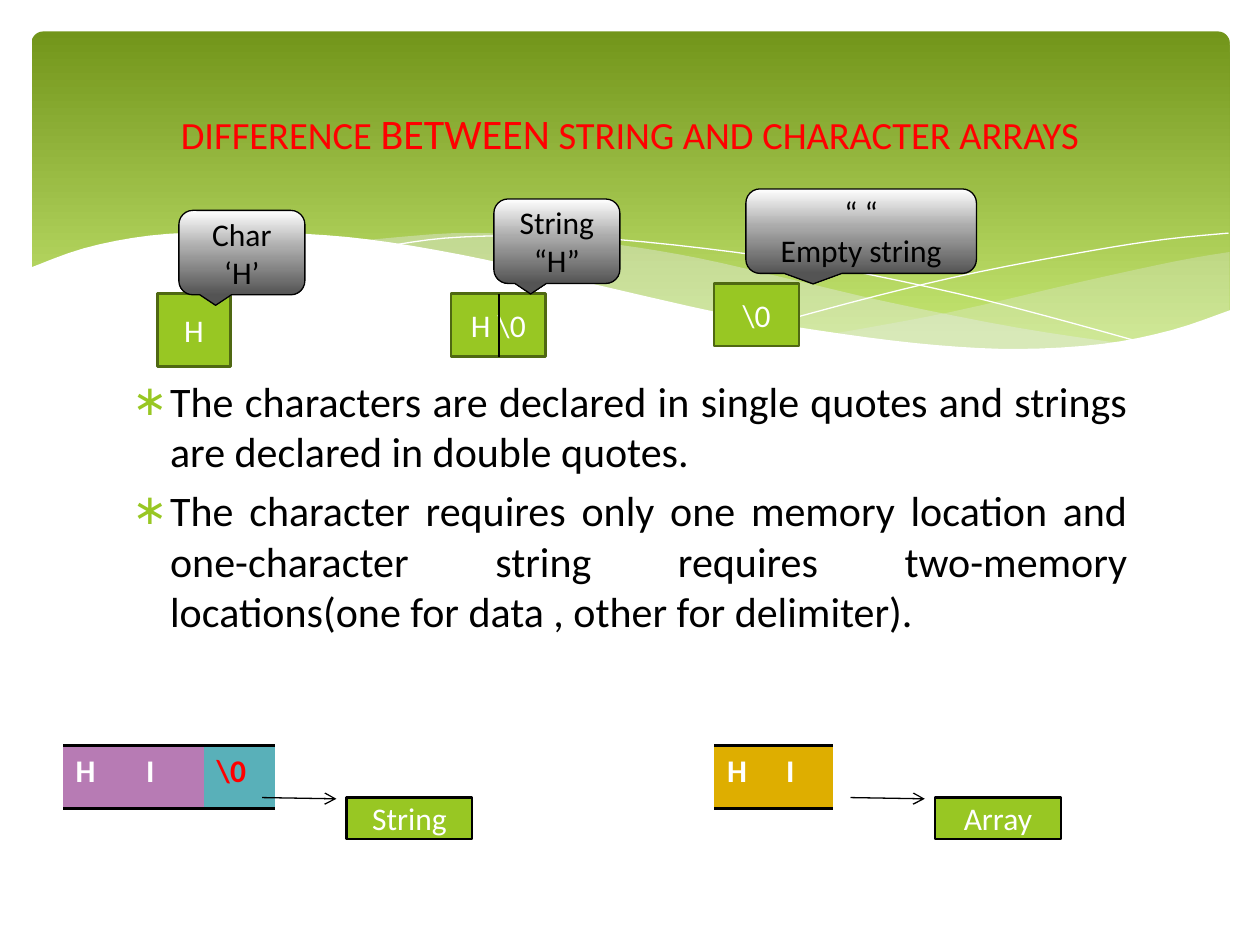
from lxml.etree import SubElement
from pptx import Presentation
from pptx.dml.color import RGBColor
from pptx.enum.shapes import MSO_CONNECTOR, MSO_SHAPE
from pptx.enum.text import MSO_ANCHOR, MSO_AUTO_SIZE, PP_ALIGN
from pptx.oxml import parse_xml
from pptx.oxml.ns import nsdecls, qn
from pptx.util import Inches, Pt

FONT = "Calibri"
BLACK = RGBColor(0x00, 0x00, 0x00)
WHITE = RGBColor(0xFF, 0xFF, 0xFF)
RED = RGBColor(0xFF, 0x00, 0x00)
GREEN = RGBColor(0x98, 0xC7, 0x23)
DARK_GREEN = RGBColor(0x4F, 0x68, 0x12)
MIST = RGBColor(0xE7, 0xEC, 0xED)
PURPLE = RGBColor(0xB7, 0x7B, 0xB4)
TEAL = RGBColor(0x59, 0xB0, 0xB9)
GOLD = RGBColor(0xDE, 0xAE, 0x00)
BANNER_STOPS = [(0, RGBColor(0x72, 0x95, 0x1A)), (90, RGBColor(0xC5, 0xE6, 0x72))]
CALLOUT_STOPS = [(0, WHITE), (44, RGBColor(0xAB, 0xAB, 0xAB)),
                 (100, RGBColor(0x54, 0x54, 0x54))]
PLAIN_TABLE = "{2D5ABB26-0587-4C30-8999-92F81FD0307C}"

# Waves: each is a chain of smooth curves, fill, opacity in percent
WAVES = [
    ([[(9.76, 2), (9.35, 2.07), (8.61, 2.23), (7.53, 2.48), (6.61, 2.65)],
      [(6.61, 2.65), (7.19, 2.72), (7.69, 2.77), (8.24, 2.77), (8.81, 2.73),
       (9.28, 2.63), (9.76, 2.47)]], MIST, 29),
    ([[(8.93, 2.73), (8.07, 2.6), (7.06, 2.4), (6.29, 2.22), (5.55, 2.05),
       (4.89, 1.94), (4.2, 1.87), (3.61, 1.85), (2.86, 1.91)],
      [(2.86, 1.91), (3.62, 2.03), (4.49, 2.22), (5.3, 2.4), (6.18, 2.58),
       (6.95, 2.7), (7.61, 2.77), (8.28, 2.78), (8.93, 2.73)]], MIST, 40),
    ([[(3.09, 1.95), (3.53, 1.89), (4.16, 1.87), (4.89, 1.9), (5.82, 2),
       (6.65, 2.13), (7.6, 2.33), (8.31, 2.51), (9.07, 2.72)]], None, 100),
    ([[(6.13, 2.57), (6.95, 2.35), (7.76, 2.16), (8.66, 1.99), (9.24, 1.9),
       (9.75, 1.85)]], None, 100),
    ([[(9.77, 2.46), (9.3, 2.62), (8.75, 2.73), (8.09, 2.77), (7.44, 2.74),
       (6.68, 2.65), (5.79, 2.5), (4.47, 2.2), (3.65, 2.02), (2.92, 1.9),
       (2.3, 1.85), (1.77, 1.84), (1.19, 1.87), (0.67, 1.97), (0.23, 2.13)],
      [(0.23, 3.29), (9.77, 3.29)]], WHITE, 100),
]


def box(*lengths):
    return [Inches(v) for v in lengths]


def add_text(tf, text, first=True, align=PP_ALIGN.CENTER, size=18, color=WHITE, bold=False):
    """Write one paragraph; text is a string or a list of (string, size)."""
    p = tf.paragraphs[0] if first else tf.add_paragraph()
    p.alignment = align
    for part, part_size in [(text, size)] if isinstance(text, str) else text:
        r = p.add_run()
        r.text = part
        r.font.name, r.font.size, r.font.bold = FONT, Pt(part_size), bold
        r.font.color.rgb = color
    return p


def set_gradient(sp, stops):
    sp.fill.gradient()
    sp.fill.gradient_angle = 270
    gs_lst = sp.fill._fill._gradFill.find(qn("a:gsLst"))
    for old in list(gs_lst):
        gs_lst.remove(old)
    for pos, color in stops:
        gs = SubElement(gs_lst, qn("a:gs"), pos=str(pos * 1000))
        SubElement(gs, qn("a:srgbClr"), val=str(color))


def smooth(points):
    """Catmull-Rom curve through the points."""
    ext = [points[0], *points, points[-1]]
    out = [points[0]]
    for a, b, c, d in zip(ext, ext[1:], ext[2:], ext[3:]):
        for t in (0.25, 0.5, 0.75, 1):
            out.append(tuple(
                0.5 * (2 * q + (s - o) * t + (2 * o - 5 * q + 4 * s - u) * t ** 2
                       + (3 * q - o - 3 * s + u) * t ** 3)
                for o, q, s, u in zip(a, b, c, d)))
    return out


def add_wave(s, curves, color, opacity):
    pts = [tuple(box(*pt)) for curve in curves for pt in smooth(curve)]
    builder = s.shapes.build_freeform(*pts[0], scale=1.0)
    builder.add_line_segments(pts[1:], close=color is not None)
    sp = builder.convert_to_shape()
    sp.shadow.inherit = False
    if color is None:
        sp.fill.background()
        sp.line.color.rgb = WHITE
        sp.line.width = 0
        return
    sp.fill.solid()
    sp.fill.fore_color.rgb = color
    sp.line.fill.background()
    if opacity < 100:
        clr = sp._element.spPr.find(qn("a:solidFill"))[0]
        SubElement(clr, qn("a:alpha"), val=str(opacity * 1000))


def add_box(s, kind, at, texts=(), fill=GREEN, line=None, width=1.25, color=WHITE):
    """Preset shape; fill is a colour or a list of gradient stops."""
    sp = s.shapes.add_shape(kind, *box(*at))
    sp.shadow.inherit = False
    if isinstance(fill, list):
        set_gradient(sp, fill)
    else:
        sp.fill.solid()
        sp.fill.fore_color.rgb = fill
    if line is None:
        sp.line.fill.background()
    else:
        sp.line.color.rgb = line
        sp.line.width = Pt(width)
    tf = sp.text_frame
    tf.vertical_anchor = MSO_ANCHOR.MIDDLE
    for i, text in enumerate(texts):
        add_text(tf, text, first=i == 0, color=color)
    return sp


def add_line(s, start, end, arrow=False):
    c = s.shapes.add_connector(MSO_CONNECTOR.STRAIGHT, *box(*start, *end))
    c.line.color.rgb = BLACK
    c.line.width = Pt(0.75)
    if arrow:
        SubElement(c.line._get_or_add_ln(), qn("a:tailEnd"), type="arrow")
    SubElement(c._element.spPr, qn("a:effectLst"))


def add_cells(s, left, width, cells):
    """One-row table of (text, fill, text colour), ruled above and below."""
    n = len(cells)
    table = s.shapes.add_table(1, n, *box(left, 5.92, width * n, 0.5)).table
    table.first_row = table.horz_banding = False
    table._tbl.tblPr.find(qn("a:tableStyleId")).text = PLAIN_TABLE
    for i, (text, fill, color) in enumerate(cells):
        table.columns[i].width = Inches(width)
        cell = table.cell(0, i)
        cell.fill.solid()
        cell.fill.fore_color.rgb = fill
        add_text(cell.text_frame, text, align=PP_ALIGN.LEFT, color=color, bold=True)
        for k, side in enumerate(("lnT", "lnB")):
            cell._tc.get_or_add_tcPr().insert(k, parse_xml(
                f'<a:{side} {nsdecls("a")} w="{Pt(2)}"><a:solidFill>'
                f'<a:srgbClr val="{BLACK}"/></a:solidFill></a:{side}>'))


def place(s, ph, at, anchor):
    """Bring a placeholder to the front and set its frame."""
    s.shapes._spTree.append(ph._element)
    ph.left, ph.top, ph.width, ph.height = box(*at)
    tf = ph.text_frame
    tf.word_wrap = True
    tf.auto_size = MSO_AUTO_SIZE.NONE
    tf.vertical_anchor = anchor
    return tf


def add_bullet(tf, text, first):
    p = add_text(tf, text, first=first, align=PP_ALIGN.JUSTIFY, size=24, color=BLACK)
    pPr = p._p.get_or_add_pPr()
    pPr.set("marL", str(Inches(0.3)))
    pPr.set("indent", str(-Inches(0.3)))
    SubElement(SubElement(pPr, qn("a:buClr")), qn("a:srgbClr"), val=str(GREEN))
    SubElement(pPr, qn("a:buFont"), typeface=FONT)
    SubElement(pPr, qn("a:buChar"), char="\u2217")


def main():
    prs = Presentation()
    prs.slide_width, prs.slide_height = box(10, 7.5)
    s = prs.slides.add_slide(prs.slide_layouts[1])
    title, body = s.placeholders[0], s.placeholders[1]

    # Banner and waves
    banner = add_box(s, MSO_SHAPE.ROUNDED_RECTANGLE, (0.25, 0.25, 9.51, 2.7), fill=BANNER_STOPS)
    banner.adjustments[0] = 0.034
    for wave in WAVES:
        add_wave(s, *wave)

    # Explanation and title
    tf = place(s, body, (0.95, 2.93, 8.1, 2.82), MSO_ANCHOR.TOP)
    add_bullet(tf, "The characters are declared in single quotes and strings "
                   "are declared in double quotes.", True)
    add_bullet(tf, "The character requires only one memory location and one-character string "
                   "requires two-memory locations(one for data , other for delimiter).", False)
    tf = place(s, title, (0.5, 0.37, 9, 1.37), MSO_ANCHOR.MIDDLE)
    add_text(tf, [("DIFFERENCE ", 22), ("BETWEEN", 24),
                  (" STRING AND CHARACTER ARRAYS", 22)], color=RED)

    # Memory cells and their callouts
    for at, text in [((1.25, 2.33, 0.58, 0.58), "H"), ((3.58, 2.33, 0.75, 0.5), "H \\0"),
                     ((5.67, 2.25, 0.67, 0.5), "\\0")]:
        add_box(s, MSO_SHAPE.RECTANGLE, at, [text], line=DARK_GREEN)
    add_line(s, (3.96, 2.33), (3.96, 2.83))
    for at, texts in [((1.42, 1.67, 1, 0.67), ["Char ‘H’"]),
                      ((3.92, 1.58, 1, 0.67), ["String “H”"]),
                      ((5.92, 1.5, 1.83, 0.67), ["“ “", "Empty string"])]:
        add_box(s, MSO_SHAPE.ROUNDED_RECTANGULAR_CALLOUT, at, texts,
                fill=CALLOUT_STOPS, line=BLACK, width=0.75, color=BLACK)

    # String and array in memory
    add_cells(s, 0.5, 0.56, [("H", PURPLE, WHITE), ("I", PURPLE, WHITE), ("\\0", TEAL, RED)])
    add_cells(s, 5.67, 0.47, [("H", GOLD, WHITE), ("I", GOLD, WHITE)])
    for left, label in [(2.08, "String"), (6.75, "Array")]:
        add_line(s, (left, 6.33), (left + 0.59, 6.34), arrow=True)
        add_box(s, MSO_SHAPE.RECTANGLE, (left + 0.67, 6.33, 1, 0.33), [label], line=BLACK)

    prs.save("out.pptx")


main()
